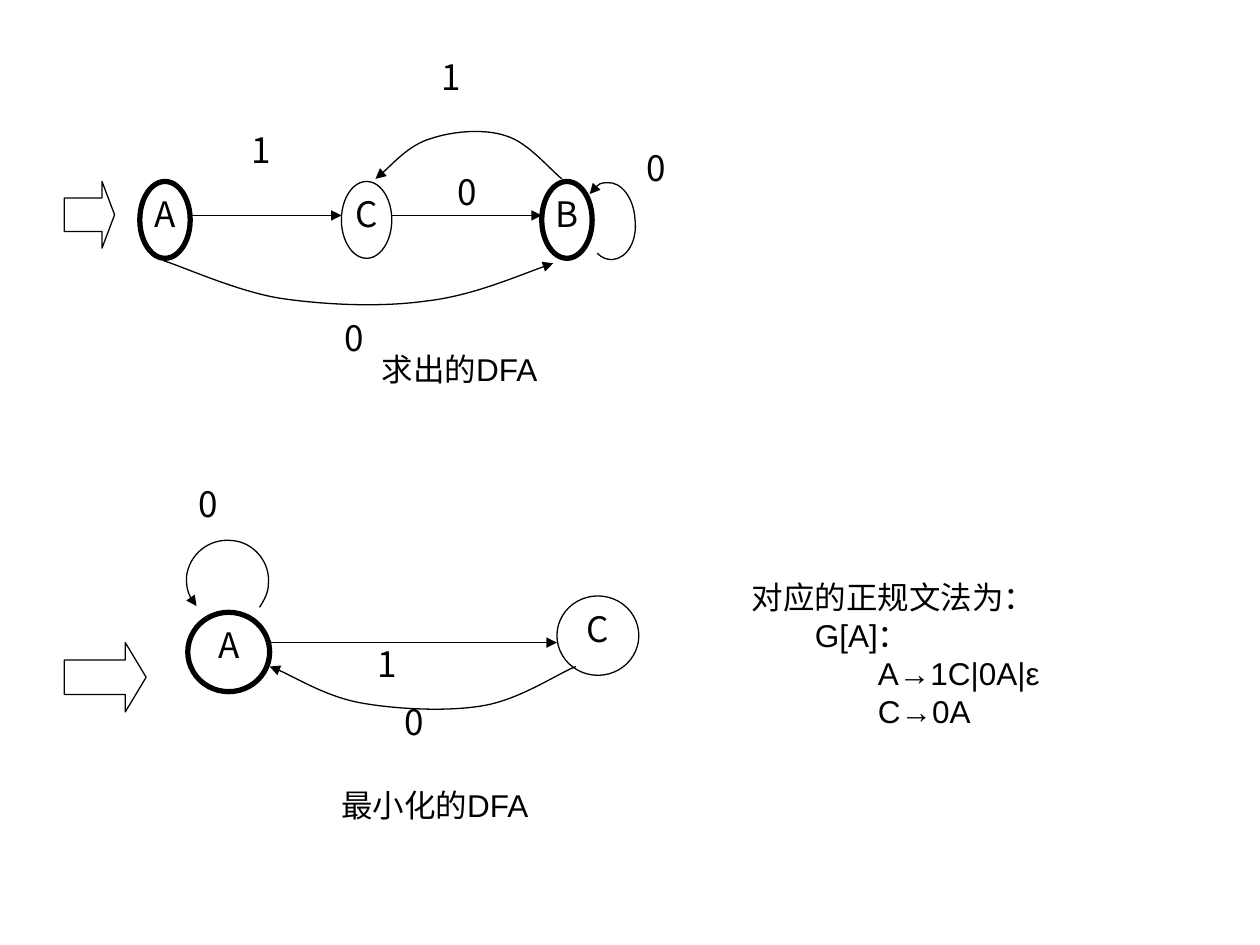
from dataclasses import dataclass

from lxml import etree
from pptx import Presentation
from pptx import util as u
from pptx.dml.color import RGBColor
from pptx.enum import shapes, text
from pptx.oxml import ns

INK, PAPER = "000000", "FFFFFF"
THIN, THICK = 0.75, 3
SYMBOL_FONT, BODY_FONT = "Noto Sans CJK SC", "Arial"
Point = tuple[float, float]


@dataclass
class Box:
    left: float
    top: float
    width: float
    height: float

    def lengths(self) -> list[u.Length]:
        return [u.Inches(n) for n in (self.left, self.top, self.width, self.height)]


@dataclass
class State:
    name: str
    box: Box
    accepting: bool = False


@dataclass
class Label:
    symbol: str
    left: float
    top: float


@dataclass
class Automaton:
    entry: Box
    head_ratio: float
    states: list[State]
    label_size: Point
    labels: list[Label]
    straight: list[tuple[Point, Point]]
    curved: list[list[Point]]


def colour(value: str) -> RGBColor:
    return RGBColor.from_string(value)


def style_line(line, width: float) -> None:
    line.color.rgb = colour(INK)
    line.width = u.Pt(width)


def add_arrowhead(line_xml) -> None:
    etree.SubElement(line_xml, ns.qn("a:tailEnd"), type="triangle")


def style_font(para, name: str, size: float) -> None:
    for span in para.runs:
        span.font.name = name
        span.font.size = u.Pt(size)
        span.font.color.rgb = colour(INK)


def write_symbol(shape, symbol: str) -> None:
    frame = shape.text_frame
    frame.margin_left = frame.margin_right = frame.margin_top = frame.margin_bottom = 0
    frame.word_wrap = True
    frame.vertical_anchor = text.MSO_ANCHOR.TOP
    frame.text = symbol
    para = frame.paragraphs[0]
    para.alignment = text.PP_ALIGN.CENTER
    style_font(para, SYMBOL_FONT, 20)


def add_outline(canvas, kind, box: Box, width: float):
    shape = canvas.add_shape(kind, *box.lengths())
    shape.shadow.inherit = False
    shape.fill.solid()
    shape.fill.fore_color.rgb = colour(PAPER)
    style_line(shape.line, width)
    return shape


def add_state(canvas, state: State) -> None:
    width = THICK if state.accepting else THIN
    write_symbol(add_outline(canvas, shapes.MSO_SHAPE.OVAL, state.box, width), state.name)


def add_straight(canvas, start: Point, end: Point) -> None:
    ends = [u.Inches(n) for n in (*start, *end)]
    arrow = canvas.add_connector(shapes.MSO_CONNECTOR.STRAIGHT, *ends)
    style_line(arrow.line, THIN)
    properties = arrow.element.spPr
    add_arrowhead(properties.find(ns.qn("a:ln")))
    etree.SubElement(properties, ns.qn("a:effectLst"))


def add_curve(canvas, points: list[Point]) -> None:
    start, *rest = [(u.Inches(x), u.Inches(y)) for x, y in points]
    builder = canvas.build_freeform(*start)
    builder.add_line_segments(rest, close=False)
    curve = builder.convert_to_shape()
    curve.shadow.inherit = False
    curve.fill.background()
    style_line(curve.line, THIN)
    add_arrowhead(curve.element.spPr.find(ns.qn("a:ln")))
    segments = list(curve.element.iter(ns.qn("a:lnTo")))
    path = segments[0].getparent()
    for first in range(0, len(segments), 3):
        bezier = etree.SubElement(path, ns.qn("a:cubicBezTo"))
        for segment in segments[first:first + 3]:
            bezier.append(segment[0])
            path.remove(segment)


def add_automaton(page, automaton: Automaton) -> None:
    canvas = page.shapes.add_group_shape().shapes
    entry = add_outline(canvas, shapes.MSO_SHAPE.RIGHT_ARROW, automaton.entry, THIN)
    entry.adjustments[1] = automaton.head_ratio
    for state in automaton.states:
        add_state(canvas, state)
    for label in automaton.labels:
        box = Box(label.left, label.top, *automaton.label_size)
        write_symbol(canvas.add_textbox(*box.lengths()), label.symbol)
    for start, end in automaton.straight:
        add_straight(canvas, start, end)
    for points in automaton.curved:
        add_curve(canvas, points)


def add_body(page, box: Box, lines: list[tuple[int, str]], wrap: bool) -> None:
    frame = page.shapes.add_textbox(*box.lengths()).text_frame
    frame.word_wrap = wrap
    frame.auto_size = text.MSO_AUTO_SIZE.SHAPE_TO_FIT_TEXT
    for index, (level, content) in enumerate(lines):
        para = frame.add_paragraph() if index else frame.paragraphs[0]
        para.text = content
        para.level = level
        style_font(para, BODY_FONT, 18)


DERIVED = Automaton(
    entry=Box(0.51, 1.44, 0.4, 0.53),
    head_ratio=0.25,
    states=[
        State("A", Box(1.11, 1.44, 0.4, 0.61), accepting=True),
        State("C", Box(2.71, 1.44, 0.4, 0.61)),
        State("B", Box(4.3, 1.44, 0.4, 0.61), accepting=True),
    ],
    label_size=(0.2, 0.53),
    labels=[Label("1", 1.97, 1.02), Label("0", 2.71, 2.51), Label("0", 3.61, 1.35),
            Label("1", 3.48, 0.44), Label("0", 5.11, 1.16)],
    straight=[((1.51, 1.71), (2.71, 1.71)), ((3.11, 1.71), (4.3, 1.71))],
    curved=[
        [(1.3, 2.07), (1.46, 2.12), (1.9, 2.32), (2.24, 2.37), (2.59, 2.42),
         (3.02, 2.44), (3.38, 2.39), (3.74, 2.35), (4.18, 2.16), (4.39, 2.09)],
        [(4.46, 1.42), (4.37, 1.35), (4.19, 1.13), (4.02, 1.08), (3.85, 1.02),
         (3.6, 1.04), (3.42, 1.1), (3.25, 1.15), (3.05, 1.37), (2.98, 1.42)],
        [(4.74, 2.01), (4.78, 2.05), (4.82, 2.06), (4.86, 2.06), (4.98, 2.05),
         (5.06, 1.91), (5.04, 1.74), (5.03, 1.57), (4.93, 1.44), (4.82, 1.45),
         (4.76, 1.45), (4.71, 1.49), (4.68, 1.54)],
    ],
)
MINIMAL = Automaton(
    entry=Box(0.51, 5.1, 0.65, 0.55),
    head_ratio=0.3,
    states=[
        State("A", Box(1.49, 4.86, 0.65, 0.63), accepting=True),
        State("C", Box(4.42, 4.73, 0.65, 0.63)),
    ],
    label_size=(0.33, 0.55),
    labels=[Label("1", 2.91, 5.1), Label("0", 3.12, 5.56), Label("0", 1.49, 3.83)],
    straight=[((2.14, 5.1), (4.42, 5.1))],
    curved=[
        [(4.57, 5.29), (4.42, 5.35), (4.13, 5.55), (3.84, 5.6), (3.56, 5.65),
         (3.15, 5.63), (2.87, 5.58), (2.59, 5.53), (2.27, 5.33), (2.14, 5.29)],
        [(2.06, 4.82), (2.1, 4.76), (2.13, 4.7), (2.13, 4.64), (2.15, 4.46),
         (2.01, 4.3), (1.84, 4.29), (1.66, 4.27), (1.5, 4.4), (1.48, 4.58),
         (1.48, 4.66), (1.5, 4.75), (1.56, 4.81)],
    ],
)
GRAMMAR = [(0, "对应的正规文法为："), (1, "G[A]："), (2, "A→1C|0A|ε"), (2, "C→0A")]


def main() -> None:
    deck = Presentation()
    deck.slide_width, deck.slide_height = u.Inches(10), u.Inches(7.5)
    page = deck.slides.add_slide(deck.slide_layouts[6])
    for automaton in (DERIVED, MINIMAL):
        add_automaton(page, automaton)
    add_body(page, Box(2.93, 2.73, 1.51, 0.4), [(0, "求出的DFA")], wrap=False)
    add_body(page, Box(2.61, 6.19, 1.76, 0.4), [(0, "最小化的DFA")], wrap=False)
    add_body(page, Box(5.87, 4.54, 3.47, 1.3), GRAMMAR, wrap=True)
    deck.save("out.pptx")


if __name__ == "__main__":
    main()
